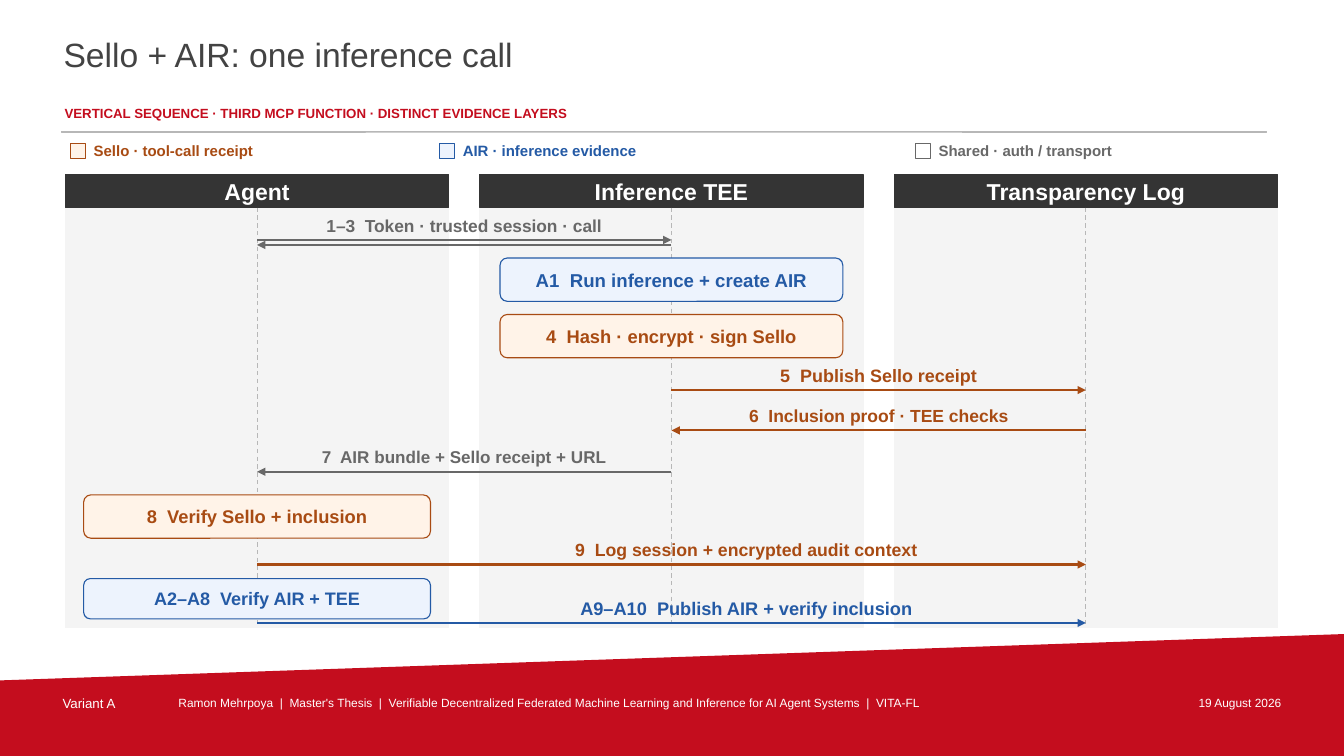
from dataclasses import dataclass

from lxml import etree
from pptx import Presentation
from pptx.dml.color import RGBColor
from pptx.enum.dml import MSO_LINE
from pptx.enum.shapes import MSO_CONNECTOR, MSO_SHAPE
from pptx.enum.text import MSO_ANCHOR, MSO_AUTO_SIZE, PP_ALIGN
from pptx.oxml.ns import qn
from pptx.util import Inches, Pt

RECT, ROUNDED = MSO_SHAPE.RECTANGLE, MSO_SHAPE.ROUNDED_RECTANGLE
STRAIGHT, DASH = MSO_CONNECTOR.STRAIGHT, MSO_LINE.DASH
LEFT, CENTER, RIGHT = PP_ALIGN.LEFT, PP_ALIGN.CENTER, PP_ALIGN.RIGHT
TOP, MIDDLE = MSO_ANCHOR.TOP, MSO_ANCHOR.MIDDLE
BOTTOM_SITE = 2


@dataclass(frozen=True)
class Theme:
    font: str = "Arial"
    red: str = "C40D1E"
    title: str = "434343"
    rule: str = "B7B7B7"
    header: str = "343434"
    lane: str = "F4F4F4"
    white: str = "FFFFFF"
    sello: str = "A84B13"
    sello_fill: str = "FFF3E8"
    air: str = "245AA5"
    air_fill: str = "EDF3FD"
    shared: str = "686868"
    title_size: float = 24
    header_size: float = 16.4
    legend_size: float = 10.7
    small_size: float = 9.5
    footer_size: float = 8.5


theme = Theme()


def write(shape, text, size, color, bold=False, align=LEFT, anchor=MIDDLE, inset=0):
    frame = shape.text_frame
    frame.text = text
    frame.word_wrap = True
    frame.auto_size = MSO_AUTO_SIZE.NONE
    frame.vertical_anchor = anchor
    frame.margin_left = frame.margin_right = Inches(inset)
    frame.margin_top = frame.margin_bottom = Inches(inset)
    para = frame.paragraphs[0]
    para.alignment = align
    font = para.runs[0].font
    font.name, font.size, font.bold = theme.font, Pt(size), bold
    font.color.rgb = RGBColor.from_string(color)


def paint(shape, line, width=0.8, fill=None):
    """Set outline and fill; without a fill the shape is a connector."""
    shape.line.color.rgb = RGBColor.from_string(line)
    shape.line.width = Pt(width)
    if fill:
        shape.shadow.inherit = False
        shape.fill.solid()
        shape.fill.fore_color.rgb = RGBColor.from_string(fill)
    else:
        etree.SubElement(shape._element.spPr, qn("a:effectLst"))


deck = Presentation()
deck.slide_width, deck.slide_height = Inches(13.33), Inches(7.5)
page = deck.slides.add_slide(deck.slide_layouts[5])
shapes = page.shapes

# Title, subtitle and footer
outline = shapes.build_freeform(0, Inches(6.75), scale=1.0)
outline.add_line_segments(
    [(Inches(x), Inches(y)) for x, y in [(13.33, 6.29), (13.33, 7.5), (0, 7.5)]])
band = outline.convert_to_shape()
paint(band, theme.red, fill=theme.red)
band.line.fill.background()

title = shapes.title
title.left, title.top = Inches(0.61), Inches(0.32)
title.width, title.height = Inches(9.65), Inches(0.62)
write(title, "Sello + AIR: one inference call", theme.title_size, theme.title,
      anchor=TOP, inset=0.02)

captions = [
    (0.62, 1.02, 9.7, "VERTICAL SEQUENCE · THIRD MCP FUNCTION · DISTINCT EVIDENCE LAYERS",
     theme.small_size, theme.red, True, LEFT),
    (0.6, 6.88, 1.15, "Variant A", theme.small_size, theme.white, False, LEFT),
    (1.75, 6.88, 9.35,
     "Ramon Mehrpoya  |  Master's Thesis  |  Verifiable Decentralized Federated "
     "Machine Learning and Inference for AI Agent Systems  |  VITA-FL",
     theme.footer_size, theme.white, False, LEFT),
    (11.2, 6.88, 1.53, "19 August 2026", theme.footer_size, theme.white, False, RIGHT),
]
for left, top, width, text, size, color, bold, align in captions:
    box = shapes.add_textbox(Inches(left), Inches(top), Inches(width), Inches(0.22))
    write(box, text, size, color, bold, align, TOP, 0.02)

rule = shapes.add_shape(RECT, Inches(0.61), Inches(1.3), Inches(11.95), Inches(0.01))
paint(rule, theme.rule, 0.5, theme.rule)

# Legend
legend = [
    (0.7, 3, "Sello · tool-call receipt", theme.sello, theme.sello_fill),
    (4.36, 3.9, "AIR · inference evidence", theme.air, theme.air_fill),
    (9.08, 3.44, "Shared · auth / transport", theme.shared, theme.white),
]
for left, width, text, color, fill in legend:
    swatch = shapes.add_shape(RECT, Inches(left), Inches(1.42), Inches(0.15), Inches(0.15))
    paint(swatch, color, fill=fill)
    box = shapes.add_textbox(Inches(left + 0.23), Inches(1.38), Inches(width), Inches(0.23))
    write(box, text, theme.legend_size, color, True)

# Lanes with headers and lifelines
LANE_LEFT, LANE_TOP, LANE_WIDTH, LANE_PITCH = 0.65, 1.73, 3.8, 4.11
centers = []
for index, name in enumerate(["Agent", "Inference TEE", "Transparency Log"]):
    left = LANE_LEFT + index * LANE_PITCH
    center = left + LANE_WIDTH / 2
    centers.append(center)
    lane = shapes.add_shape(RECT, Inches(left), Inches(LANE_TOP),
                            Inches(LANE_WIDTH), Inches(4.5))
    paint(lane, theme.lane, fill=theme.lane)
    header = shapes.add_shape(RECT, Inches(left), Inches(LANE_TOP),
                              Inches(LANE_WIDTH), Inches(0.33))
    paint(header, theme.header, fill=theme.header)
    write(header, name, theme.header_size, theme.white, True, CENTER)
    lifeline = shapes.add_connector(STRAIGHT, Inches(center), Inches(2.06),
                                    Inches(center), Inches(6.2))
    lifeline.begin_connect(header, BOTTOM_SITE)
    paint(lifeline, theme.rule)
    lifeline.line.dash_style = DASH
agent, tee, log = centers

# Steps inside a lane
steps = [
    (tee, 2.56, 3.4, 0.43, "A1  Run inference + create AIR", 13.3, theme.air, theme.air_fill),
    (tee, 3.12, 3.4, 0.43, "4  Hash · encrypt · sign Sello", 13.1, theme.sello, theme.sello_fill),
    (agent, 4.91, 3.44, 0.43, "8  Verify Sello + inclusion", 13.1, theme.sello, theme.sello_fill),
    (agent, 5.74, 3.44, 0.4, "A2–A8  Verify AIR + TEE", 12.9, theme.air, theme.air_fill),
]
for center, top, width, height, text, size, color, fill in steps:
    step = shapes.add_shape(ROUNDED, Inches(center - width / 2), Inches(top),
                            Inches(width), Inches(height))
    paint(step, color, fill=fill)
    write(step, text, size, color, True, CENTER)

# Messages between lanes; the reply to the first call has no label
LONG_LABEL_CENTER = 7.4
messages = [
    (agent, tee, 2.38, 1.5, "1–3  Token · trusted session · call", 12.4, theme.shared),
    (tee, agent, 2.43, 1, "", 0, theme.shared),
    (tee, log, 3.87, 1.5, "5  Publish Sello receipt", 12.8, theme.sello),
    (log, tee, 4.27, 1.5, "6  Inclusion proof · TEE checks", 12.5, theme.sello),
    (tee, agent, 4.68, 1.5, "7  AIR bundle + Sello receipt + URL", 12.2, theme.shared),
    (agent, log, 5.6, 1.5, "9  Log session + encrypted audit context", 12.6, theme.sello),
    (agent, log, 6.18, 1.5, "A9–A10  Publish AIR + verify inclusion", 13, theme.air),
]
for start, end, y, weight, text, size, color in messages:
    arrow = shapes.add_connector(STRAIGHT, Inches(start), Inches(y), Inches(end), Inches(y))
    paint(arrow, color, weight)
    etree.SubElement(arrow.line._get_or_add_ln(), qn("a:tailEnd"), type="triangle")
    if text:
        crosses_tee = abs(end - start) > LANE_PITCH + 1
        center = LONG_LABEL_CENTER if crosses_tee else (start + end) / 2
        width = 6 if crosses_tee else 4.01
        label = shapes.add_textbox(Inches(center - width / 2), Inches(y - 0.26),
                                   Inches(width), Inches(0.23))
        write(label, text, size, color, True, CENTER)

deck.save("out.pptx")
